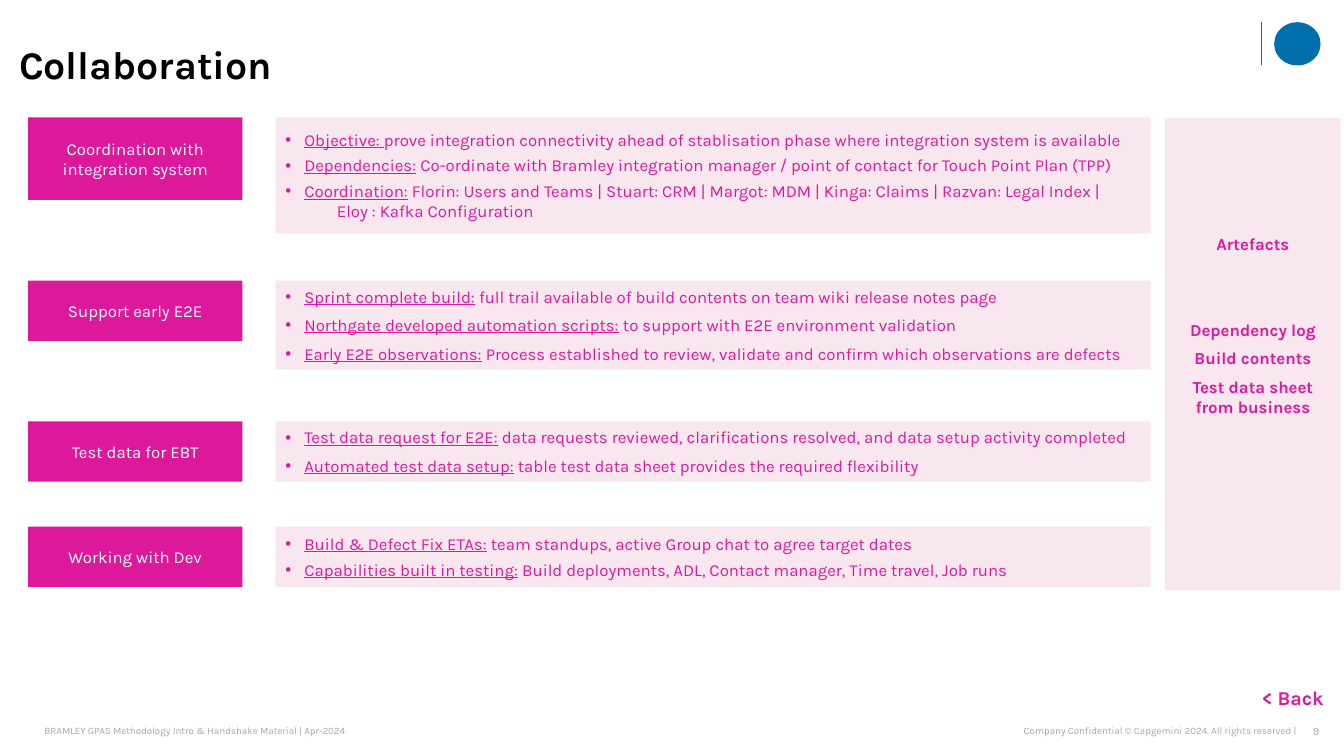
from lxml import etree
from pptx import Presentation
from pptx.dml.color import RGBColor
from pptx.enum.shapes import MSO_CONNECTOR, MSO_SHAPE
from pptx.enum.text import MSO_ANCHOR, PP_ALIGN
from pptx.oxml.ns import qn
from pptx.util import Cm, Pt

COLORS = {"pink": "DC199B", "pale": "F9E7EF", "white": "FFFFFF", "black": "000000",
          "grey": "A6A6A6", "blue": "0070AD"}
HANG, CONTINUED = Cm(0.48), Cm(1.3)

prs = Presentation()
prs.slide_width, prs.slide_height = Cm(33.87), Cm(19.05)
s = prs.slides.add_slide(prs.slide_layouts[6])


def add_box(left, top, width, height, fill=None, shape=MSO_SHAPE.RECTANGLE):
    area = Cm(left), Cm(top), Cm(width), Cm(height)
    if fill:
        sp = s.shapes.add_shape(shape, *area)
        sp.shadow.inherit = False
        sp.fill.solid()
        sp.fill.fore_color.rgb = RGBColor.from_string(COLORS[fill])
        sp.line.fill.background()
    else:
        sp = s.shapes.add_textbox(*area)
    tf = sp.text_frame
    tf.word_wrap = True
    tf.vertical_anchor = MSO_ANCHOR.MIDDLE
    return tf


def add_run(p, text, size, color, bold=False, underline=False):
    r = p.add_run()
    r.text = text
    r.font.name = "Karla"
    r.font.size = Pt(size)
    r.font.bold = bold
    r.font.underline = underline
    r.font.color.rgb = RGBColor.from_string(COLORS[color])


add_box(32.11, 0.56, 1.17, 1.09, "blue", MSO_SHAPE.OVAL)
line = s.shapes.add_connector(MSO_CONNECTOR.STRAIGHT, Cm(31.78), Cm(0.56), Cm(31.78), Cm(1.65))
line.line.color.rgb = RGBColor.from_string(COLORS["blue"])
line.line.width = Pt(0.5)
etree.SubElement(line._element.spPr, qn("a:effectLst"))

texts = [
    ("Collaboration", 0.48, 0.89, 19.43, 1.42, 28, "black", True, PP_ALIGN.LEFT),
    ("BRAMLEY GPAS Methodology Intro & Handshake Material | Apr-2024",
     1.12, 18.11, 9.47, 0.61, 7, "grey", False, PP_ALIGN.LEFT),
    ("Company Confidential © Capgemini 2024. All rights reserved |",
     20.07, 18.11, 12.6, 0.61, 7, "grey", False, PP_ALIGN.RIGHT),
    ("9", 32.61, 18.11, 0.64, 0.61, 8, "grey", False, PP_ALIGN.RIGHT),
    ("< Back", 31.29, 17.15, 2.59, 0.86, 14, "pink", True, PP_ALIGN.CENTER),
]
for text, left, top, width, height, size, color, bold, align in texts:
    tf = add_box(left, top, width, height)
    tf.margin_left = tf.margin_right = tf.margin_top = tf.margin_bottom = 0
    p = tf.paragraphs[0]
    p.alignment = align
    add_run(p, text, size, color, bold)

rows = [
    ("Coordination with integration system", 2.96, 2.08, 2.92, 2, [
        ("Objective: ", "prove integration connectivity ahead of stablisation phase "
         "where integration system is available"),
        ("Dependencies:", " Co-ordinate with Bramley integration manager / point of contact "
         "for Touch Point Plan (TPP)"),
        ("Coordination:", " Florin: Users and Teams | Stuart: CRM | Margot: MDM | "
         "Kinga: Claims | Razvan: Legal Index |"),
        ("", "Eloy : Kafka Configuration"),
    ]),
    ("Support early E2E", 7.07, 1.52, 2.24, 3, [
        ("Sprint complete build:", " full trail available of build contents on "
         "team wiki release notes page"),
        ("Northgate developed automation scripts:", " to support with E2E environment validation"),
        ("Early E2E observations:", " Process established to review, validate and confirm "
         "which observations are defects"),
    ]),
    ("Test data for EBT", 10.62, 1.52, 1.52, 3, [
        ("Test data request for E2E:", " data requests reviewed, clarifications resolved, "
         "and data setup activity completed"),
        ("Automated test data setup:", " table test data sheet provides the required flexibility"),
    ]),
    ("Working with Dev", 13.27, 1.52, 1.52, 2, [
        ("Build & Defect Fix ETAs:", " team standups, active Group chat to agree target dates"),
        ("Capabilities built in testing:", " Build deployments, ADL, Contact manager, "
         "Time travel, Job runs"),
    ]),
]
for label, top, label_height, body_height, gap, items in rows:
    p = add_box(0.71, top, 5.4, label_height, "pink").paragraphs[0]
    p.alignment = PP_ALIGN.CENTER
    add_run(p, label, 12, "white")

    tf = add_box(6.94, top, 22.06, body_height, "pale")
    for i, (lead, detail) in enumerate(items):
        p = tf.add_paragraph() if i else tf.paragraphs[0]
        p.alignment = PP_ALIGN.LEFT
        pPr = p._p.get_or_add_pPr()
        if lead:
            pPr.set("marL", str(HANG))
            pPr.set("indent", str(-HANG))
            etree.SubElement(pPr, qn("a:buFont")).set("typeface", "Arial")
            etree.SubElement(pPr, qn("a:buChar")).set("char", "•")
            add_run(p, lead, 12, "pink", underline=True)
        else:
            pPr.set("marL", str(CONTINUED))
            pPr.set("indent", "0")
            tf.paragraphs[i - 1].space_after = Pt(0)
        p.space_before = Pt(gap if i and lead else 0)
        p.space_after = Pt(gap)
        add_run(p, detail, 12, "pink")

artefacts = [("Artefacts", 0), ("Dependency log", 44), ("Build contents", 3),
             ("Test data sheet from business", 3)]
tf = add_box(29.36, 2.98, 4.43, 11.9, "pale")
tf.margin_bottom = Cm(1.6)
for i, (text, before) in enumerate(artefacts):
    p = tf.add_paragraph() if i else tf.paragraphs[0]
    p.alignment = PP_ALIGN.CENTER
    p.space_before, p.space_after = Pt(before), Pt(3)
    add_run(p, text, 12, "pink", bold=True)

prs.save("out.pptx")
